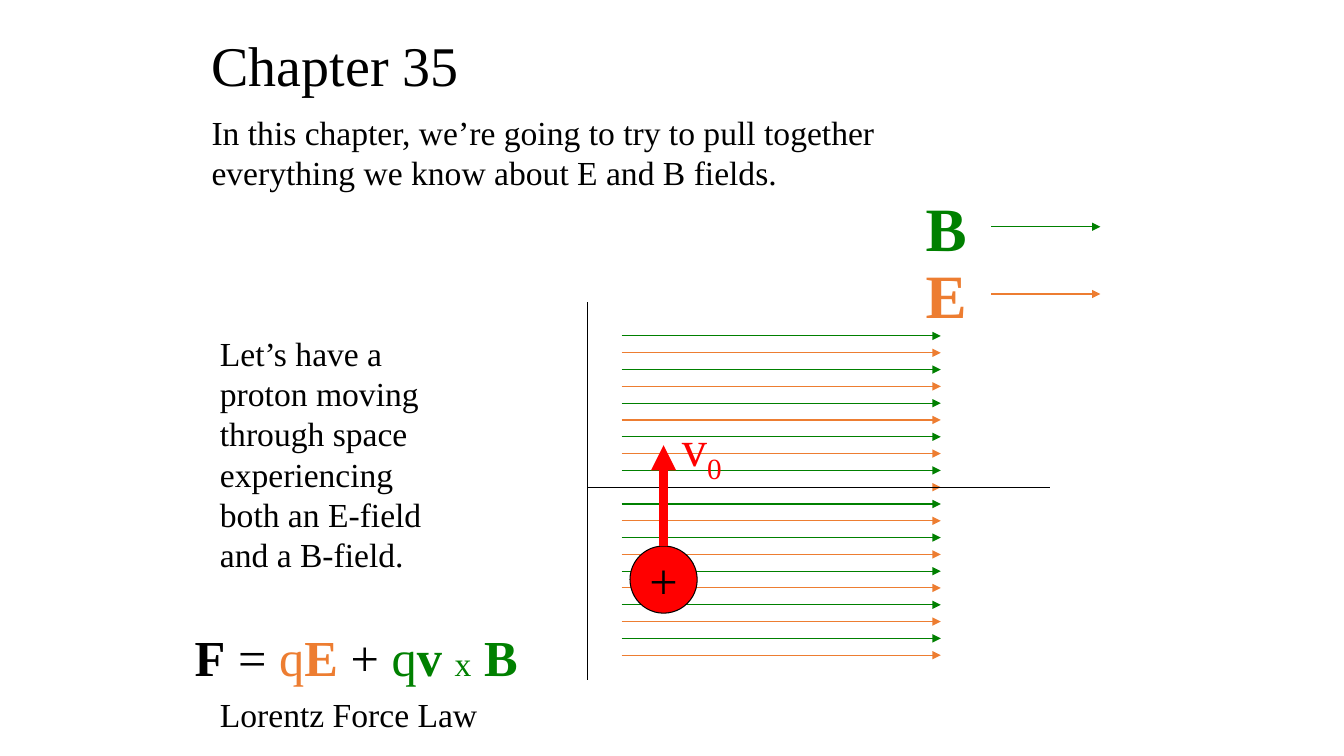
from lxml import etree
from pptx import Presentation
from pptx import util as u
from pptx.dml.color import RGBColor
from pptx.enum import shapes, text
from pptx.oxml import ns

COLORS = {"ink": "000000", "magnetic": "008000", "electric": "ED7D31", "proton": "FF0000"}
FONT = "Times New Roman"

TITLE = ((192, 24, 784, 72), [("Chapter 35", 40, "ink", False, 0)])
NOTES = [
    ((192, 102, 784, 88), [("In this chapter, we’re going to try to pull together everything we know about E and B fields.", 24, "ink", False, 0)]),
    ((200, 312, 232, 242), [("Let’s have a proton moving through space experiencing both an E-field and a B-field.", 24, "ink", False, 0)]),
]
LEGEND = [
    ((872, 176, 168, 80), [("B", 44, "magnetic", True, 0)]),
    ((872, 240, 168, 80), [("E", 44, "electric", True, 0)]),
]
VELOCITY = ((640, 392, 64, 67), [("v", 36, "proton", False, 0), ("0", 36, "proton", False, -25000)])
FORCE_LAW = [
    ((176, 592, 400, 67), [
        ("F", 36, "ink", True, 0),
        (" = ", 36, "ink", False, 0),
        ("q", 36, "electric", False, 0),
        ("E ", 36, "electric", True, 0),
        ("+ ", 36, "ink", False, 0),
        ("q", 36, "magnetic", False, 0),
        ("v ", 36, "magnetic", True, 0),
        ("x", 24, "magnetic", False, 0),
        (" ", 36, "magnetic", False, 0),
        ("B", 36, "magnetic", True, 0),
    ]),
    ((200, 656, 328, 48), [("Lorentz Force Law", 24, "ink", False, 0)]),
]
CHARGE = ((600, 520, 64, 64), [("+", 36, "ink", False, 0)])

VERTICAL_AXIS = (560, 288, 560, 648)
HORIZONTAL_AXIS = (560, 464, 1000, 464)
VELOCITY_ARROW = (632, 520, 632, 424)
FIELD_LEFT, FIELD_RIGHT, FIELD_PITCH, FIELD_COUNT = 592, 896, 32, 10
FIELD_TOPS = {"magnetic": 320, "electric": 336}
LEGEND_ARROWS = {"magnetic": (944, 216, 1048, 216), "electric": (944, 280, 1048, 280)}


def px(value):
    return u.Emu(value * 9525)


def color(name):
    return RGBColor.from_string(COLORS[name])


def apply(target, formats):
    for name, value in formats.items():
        setattr(target, name, value)


def write(shape, spans, align=text.PP_ALIGN.LEFT, anchor=text.MSO_ANCHOR.TOP, wrap=True, spacing=0.14):
    frame = shape.text_frame
    apply(frame, {
        "word_wrap": wrap, "auto_size": text.MSO_AUTO_SIZE.NONE, "vertical_anchor": anchor,
        "margin_left": u.Inches(0.1), "margin_right": u.Inches(0.1),
        "margin_top": u.Inches(0.05), "margin_bottom": u.Inches(0.05),
    })
    para = frame.paragraphs[0]
    apply(para, {"alignment": align, "line_spacing": 1.0, "space_before": u.Pt(round(spans[0][1] * spacing, 1))})
    for words, size, ink, bold, baseline in spans:
        span = para.add_run()
        span.text = words
        apply(span.font, {"name": FONT, "size": u.Pt(size), "bold": bold})
        span.font.color.rgb = color(ink)
        if baseline:
            span._r.get_or_add_rPr().set("baseline", str(baseline))


def add_text(page, place, spans):
    write(page.shapes.add_textbox(*map(px, place)), spans)


def add_line(page, ends, ink, width=0.75, arrow=True):
    line = page.shapes.add_connector(shapes.MSO_CONNECTOR.STRAIGHT, *map(px, ends))
    line.line.color.rgb = color(ink)
    line.line.width = u.Pt(width)
    if arrow:
        etree.SubElement(line.line._get_or_add_ln(), ns.qn("a:tailEnd"), type="triangle")
    etree.SubElement(line._element.spPr, ns.qn("a:effectLst"))


def add_title(page, place, spans):
    title = page.shapes.title
    apply(title, dict(zip(("left", "top", "width", "height"), map(px, place))))
    write(title, spans)


def add_charge(page, place, spans):
    charge = page.shapes.add_shape(shapes.MSO_SHAPE.OVAL, *map(px, place))
    charge.shadow.inherit = False
    charge.fill.solid()
    charge.fill.fore_color.rgb = color("proton")
    charge.line.color.rgb = color("ink")
    charge.line.width = u.Pt(0.75)
    write(charge, spans, text.PP_ALIGN.CENTER, text.MSO_ANCHOR.MIDDLE, False, 0)


def main():
    deck = Presentation()
    apply(deck, {"slide_width": px(1280), "slide_height": px(720)})
    page = deck.slides.add_slide(deck.slide_layouts[5])
    add_title(page, *TITLE)
    for note in NOTES:
        add_text(page, *note)
    add_line(page, VERTICAL_AXIS, "ink", arrow=False)
    for field, top in FIELD_TOPS.items():
        for row in range(FIELD_COUNT):
            y = top + row * FIELD_PITCH
            add_line(page, (FIELD_LEFT, y, FIELD_RIGHT, y), field)
    add_line(page, HORIZONTAL_AXIS, "ink", arrow=False)
    for label in LEGEND:
        add_text(page, *label)
    add_charge(page, *CHARGE)
    add_line(page, VELOCITY_ARROW, "proton", 6)
    add_text(page, *VELOCITY)
    for field, ends in LEGEND_ARROWS.items():
        add_line(page, ends, field)
    for law in FORCE_LAW:
        add_text(page, *law)
    deck.save("out.pptx")


if __name__ == "__main__":
    main()
